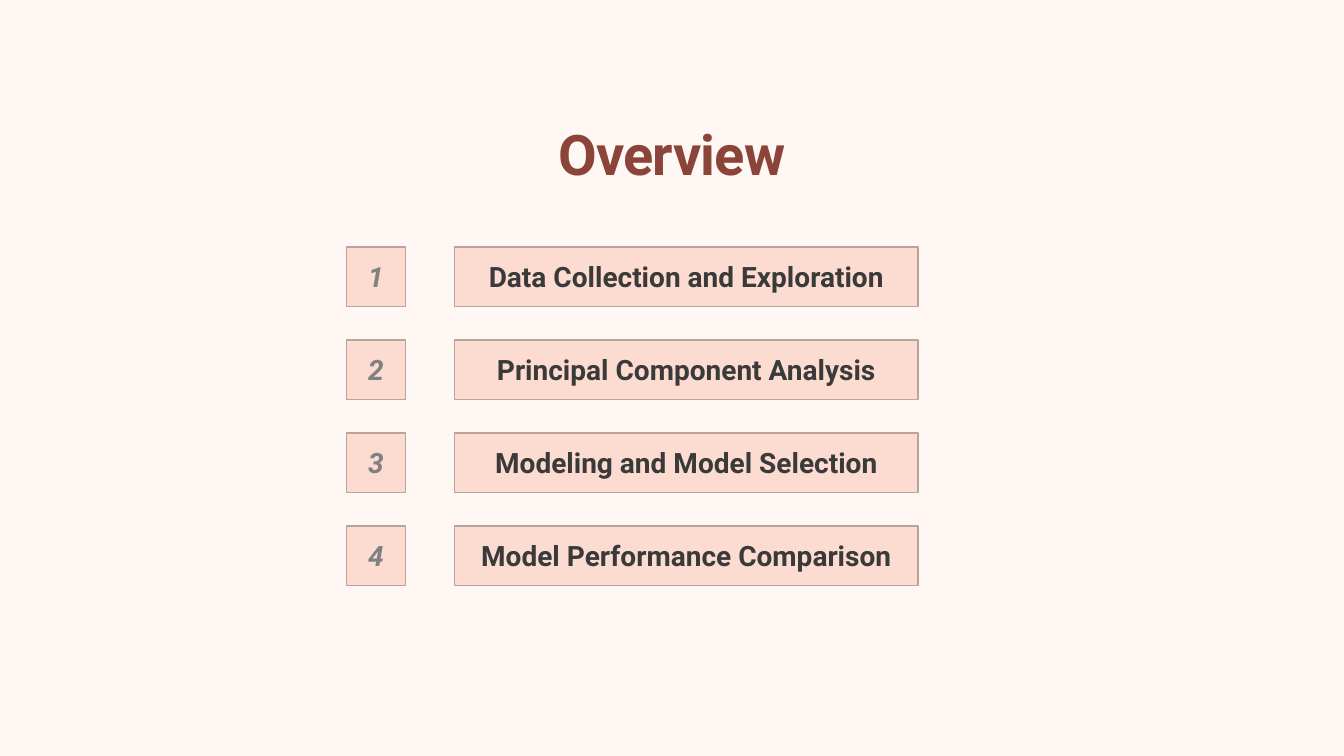
import pptx
import pptx.util
import pptx.dml.color
import pptx.enum.shapes
import pptx.enum.text

HEADING = "Overview"
TOPICS = [
    "Data Collection and Exploration",
    "Principal Component Analysis",
    "Modeling and Model Selection",
    "Model Performance Comparison",
]
COLORS = {
    "background": "FEF7F4",
    "heading": "8A443A",
    "box": "FCDCD1",
    "border": "BAA39B",
    "number": "808080",
    "topic": "3A3A3A",
}
FONT = "Roboto"
FIRST_TOP, ROW_PITCH, ROW_HEIGHT = 176.4, 66.4, 42.5
NUMBER_LEFT, NUMBER_WIDTH = 247.7, 41.8
TOPIC_LEFT, TOPIC_WIDTH = 324.7, 331.2

Pt = pptx.util.Pt


def color(key):
    return pptx.dml.color.RGBColor.from_string(COLORS[key])


def write(frame, text, size, color_key, anchor, italic=False):
    frame.word_wrap = True
    frame.vertical_anchor = anchor
    paragraph = frame.paragraphs[0]
    paragraph.text = text
    paragraph.alignment = pptx.enum.text.PP_ALIGN.CENTER
    font = paragraph.font
    font.name, font.size = FONT, Pt(size)
    font.bold, font.italic = True, italic
    font.color.rgb = color(color_key)
    return paragraph


def add_box(slide, left, top, width, text, color_key, italic=False):
    box = slide.shapes.add_shape(
        pptx.enum.shapes.MSO_SHAPE.RECTANGLE,
        Pt(left), Pt(top), Pt(width), Pt(ROW_HEIGHT))
    box.shadow.inherit = False
    box.fill.solid()
    box.fill.fore_color.rgb = color("box")
    box.line.color.rgb = color("border")
    box.line.width = Pt(1)
    write(box.text_frame, text, 20, color_key,
          pptx.enum.text.MSO_ANCHOR.MIDDLE, italic)


def main():
    deck = pptx.Presentation()
    deck.slide_width, deck.slide_height = Pt(960), Pt(540)
    slide = deck.slides.add_slide(deck.slide_layouts[6])
    slide.background.fill.solid()
    slide.background.fill.fore_color.rgb = color("background")

    heading = slide.shapes.add_textbox(Pt(120), Pt(85), Pt(720), Pt(48.2)).text_frame
    heading.margin_left = heading.margin_right = 0
    heading.margin_top = heading.margin_bottom = 0
    line = write(heading, HEADING, 40, "heading", pptx.enum.text.MSO_ANCHOR.BOTTOM)
    line.runs[0].font._element.set("spc", "-50")

    for row, topic in enumerate(TOPICS):
        top = FIRST_TOP + row * ROW_PITCH
        add_box(slide, NUMBER_LEFT, top, NUMBER_WIDTH, str(row + 1), "number", True)
        add_box(slide, TOPIC_LEFT, top, TOPIC_WIDTH, topic, "topic")

    deck.save("out.pptx")


if __name__ == "__main__":
    main()
